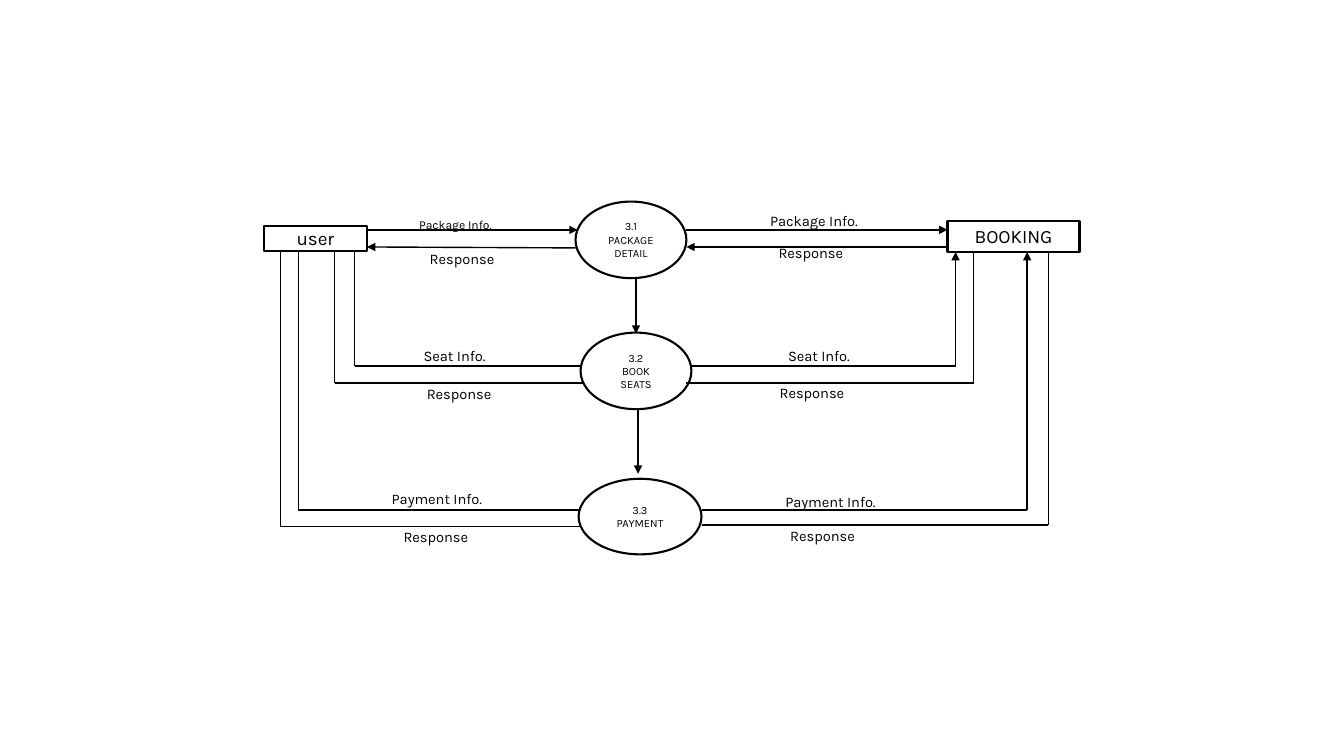
from dataclasses import dataclass
from itertools import pairwise

from lxml import etree
from pptx import Presentation
from pptx.dml.color import RGBColor
from pptx.enum.shapes import MSO_CONNECTOR, MSO_SHAPE
from pptx.enum.text import MSO_ANCHOR, PP_ALIGN
from pptx.oxml.ns import qn
from pptx.slide import Slide
from pptx.text.text import TextFrame
from pptx.util import Pt

ELLIPSE = MSO_SHAPE.OVAL
RECTANGLE = MSO_SHAPE.RECTANGLE
STRAIGHT = MSO_CONNECTOR.STRAIGHT
MIDDLE, TOP = MSO_ANCHOR.MIDDLE, MSO_ANCHOR.TOP
CENTER, LEFT = PP_ALIGN.CENTER, PP_ALIGN.LEFT


@dataclass(frozen=True)
class Theme:
    font: str = "Karla"
    ink: RGBColor = RGBColor(0, 0, 0)
    paper: RGBColor = RGBColor(255, 255, 255)
    outline: float = 1.5
    flow: float = 1
    entity_size: float = 13.5
    label_size: float = 10.5
    raised_size: float = 15
    process_size: float = 7.9


THEME = Theme()


@dataclass(frozen=True)
class Box:
    left: float
    top: float
    width: float
    height: float

    def lengths(self) -> tuple[Pt, ...]:
        return tuple(Pt(v) for v in (self.left, self.top, self.width, self.height))


@dataclass(frozen=True)
class Node:
    lines: tuple[str, ...]
    box: Box
    preset: MSO_SHAPE = ELLIPSE
    size: float = THEME.process_size


@dataclass(frozen=True)
class Flow:
    points: tuple[tuple[float, float], ...]
    arrow: bool = False


@dataclass(frozen=True)
class Label:
    text: str
    box: Box
    raised: bool = False


PROCESSES = (
    Node(("3.1", "PACKAGE", "DETAIL"), Box(411.1, 144, 79.2, 54.7)),
    Node(("3.2", "BOOK", "SEATS"), Box(414.7, 237.6, 79.2, 54.7)),
    Node(("3.3", "PAYMENT"), Box(413.3, 342, 87.8, 54)),
)
USER = Node(("user",), Box(188.6, 161.3, 73.4, 18), RECTANGLE, THEME.entity_size)
BOOKING = Node(("BOOKING",), Box(676.8, 157.7, 94.3, 22.3), RECTANGLE, THEME.entity_size)

USER_BASE = USER.box.top + USER.box.height
BOOKING_BASE = BOOKING.box.top + BOOKING.box.height
PACKAGE_Y, PACKAGE_REPLY_Y = 164.2, 176.4
SEAT_Y, SEAT_REPLY_Y = 261.4, 273.6
PAYMENT_Y, PAYMENT_REPLY_Y = 364.3, 376.2


def user_route(x: float, y: float, process_x: float) -> Flow:
    return Flow(((x, USER_BASE), (x, y), (process_x, y)))


def booking_route(process_x: float, y: float, x: float, arrow: bool = False) -> Flow:
    return Flow(((process_x, y), (x, y), (x, BOOKING_BASE)), arrow)


FLOWS = (
    Flow(((262.1, PACKAGE_Y), (412.6, PACKAGE_Y)), True),
    Flow(((411.1, 177.1), (262.1, PACKAGE_REPLY_Y)), True),
    Flow(((490.3, PACKAGE_Y), (676.8, PACKAGE_Y)), True),
    Flow(((676.8, PACKAGE_REPLY_Y), (490.3, PACKAGE_REPLY_Y)), True),
    user_route(253.4, SEAT_Y, 414.7),
    user_route(239, SEAT_REPLY_Y, 416.9),
    user_route(213.1, PAYMENT_Y, 413.3),
    user_route(200.2, PAYMENT_REPLY_Y, 414.7),
    booking_route(493.2, SEAT_Y, 682.6, True),
    booking_route(490.3, SEAT_REPLY_Y, 695.5),
    booking_route(501.1, PAYMENT_Y, 733.7, True),
    booking_route(501.1, 375.1, 748.8),
    Flow(((454.3, 199.4), (454.3, 238.3)), True),
    Flow(((455.8, 293), (455.8, 338.4)), True),
)

LABELS = (
    Label("Package Info.", Box(292.3, 149.8, 78.5, 25.2), True),
    Label("Package Info.", Box(529.9, 148.3, 103, 18.7)),
    Label("Response", Box(266.4, 176.4, 127.4, 16.6)),
    Label("Response", Box(530.6, 172.1, 97.2, 17.3)),
    Label("Seat Info.", Box(280.8, 243.4, 87.8, 20.9)),
    Label("Seat Info.", Box(533.5, 243.4, 103, 21.6)),
    Label("Response", Box(283.7, 272.2, 88.6, 17.3)),
    Label("Response", Box(528.5, 270.7, 103, 19.4)),
    Label("Payment Info.", Box(259.2, 347, 105.8, 18.7)),
    Label("Payment Info.", Box(540.7, 347, 105.1, 23)),
    Label("Response", Box(262.1, 373, 98.6, 20.9)),
    Label("Response", Box(549.4, 374.4, 76.3, 16.6)),
)


def apply(target: object, formats: dict[str, object]) -> None:
    for attribute, value in formats.items():
        setattr(target, attribute, value)


def write(frame: TextFrame, lines: tuple[str, ...], size: float,
          align: PP_ALIGN = CENTER, anchor: MSO_ANCHOR = MIDDLE) -> None:
    apply(frame, {"word_wrap": True, "vertical_anchor": anchor})
    for index, line in enumerate(lines):
        paragraph = frame.paragraphs[0] if index == 0 else frame.add_paragraph()
        paragraph.alignment = align
        run = paragraph.add_run()
        run.text = line
        apply(run.font, {"name": THEME.font, "size": Pt(size)})
        run.font.color.rgb = THEME.ink


def draw_node(slide: Slide, node: Node) -> None:
    shape = slide.shapes.add_shape(node.preset, *node.box.lengths())
    shape.shadow.inherit = False
    shape.fill.solid()
    shape.fill.fore_color.rgb = THEME.paper
    shape.line.color.rgb = THEME.ink
    shape.line.width = Pt(THEME.outline)
    sides = ("left", "top", "right", "bottom")
    apply(shape.text_frame, {f"margin_{side}": Pt(0) for side in sides})
    write(shape.text_frame, node.lines, node.size)


def draw_flow(slide: Slide, flow: Flow) -> None:
    for start, end in pairwise(flow.points):
        segment = slide.shapes.add_connector(STRAIGHT, *(Pt(v) for v in start + end))
        segment.line.color.rgb = THEME.ink
        segment.line.width = Pt(THEME.flow)
        properties = segment._element.spPr
        if flow.arrow and end == flow.points[-1]:
            etree.SubElement(properties.find(qn("a:ln")), qn("a:tailEnd"), type="triangle")
        etree.SubElement(properties, qn("a:effectLst"))


def draw_label(slide: Slide, label: Label) -> None:
    frame = slide.shapes.add_textbox(*label.box.lengths()).text_frame
    if label.raised:
        write(frame, (label.text,), THEME.raised_size, LEFT, TOP)
        frame.paragraphs[0].runs[0].font._element.set("baseline", "30000")
    else:
        write(frame, (label.text,), THEME.label_size)


def main() -> None:
    deck = Presentation()
    apply(deck, {"slide_width": Pt(960), "slide_height": Pt(540)})
    slide = deck.slides.add_slide(deck.slide_layouts[6])
    for node in (*PROCESSES, USER, BOOKING):
        draw_node(slide, node)
    for flow in FLOWS:
        draw_flow(slide, flow)
    for label in LABELS:
        draw_label(slide, label)
    deck.save("out.pptx")


if __name__ == "__main__":
    main()
